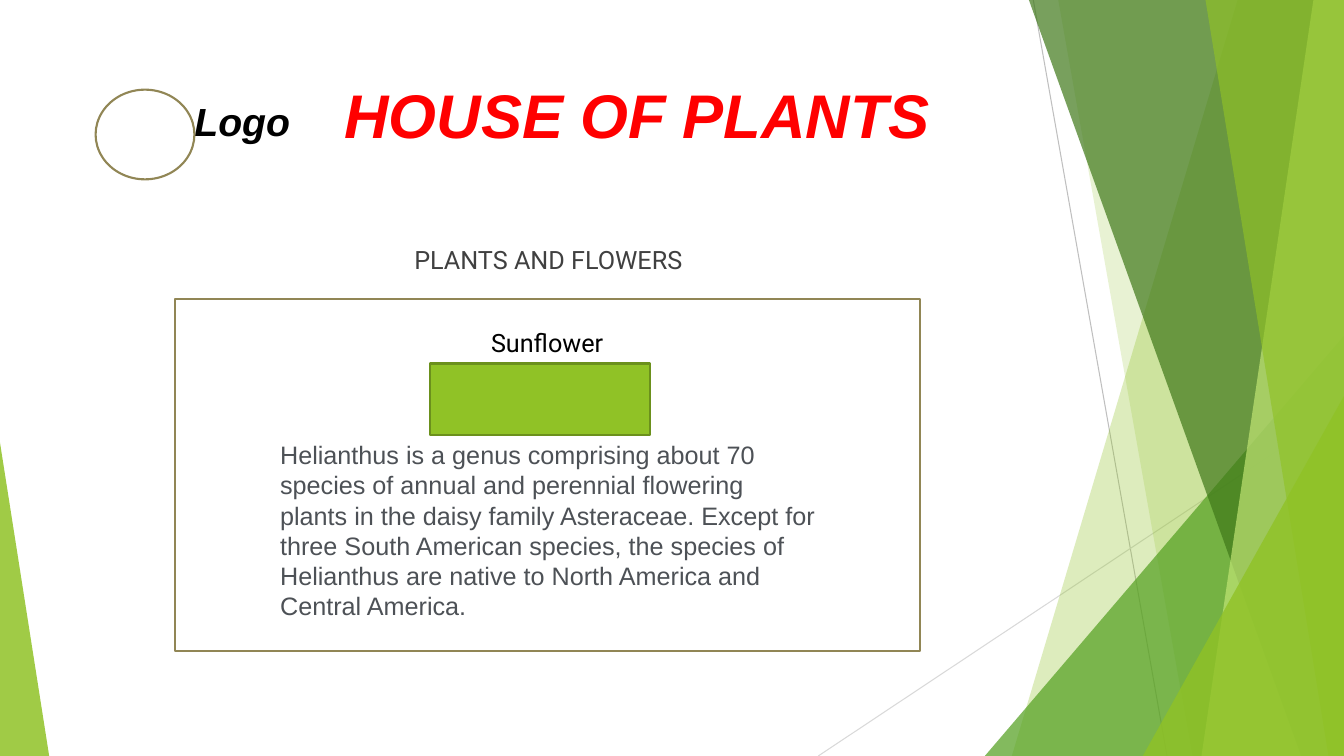
from dataclasses import dataclass

from lxml import etree
from pptx import Presentation
from pptx import util as u
from pptx.dml.color import RGBColor
from pptx.enum import shapes, text
from pptx.oxml import ns


@dataclass(frozen=True)
class Theme:
    white: str = "FFFFFF"
    black: str = "000000"
    red: str = "FF0000"
    lime: str = "90C226"
    pale_lime: str = "C0E474"
    green: str = "54A021"
    dark_green: str = "3F7819"
    edge_green: str = "6B901C"
    olive: str = "918655"
    heading_grey: str = "404040"
    body_grey: str = "4D5156"
    rays: tuple = ("BFBFBF", "D9D9D9")
    sans: str = "Arial"
    display: str = "Roboto"
    title_size: int = 44
    logo_size: int = 28
    text_size: int = 18


theme = Theme()
WIDTH, HEIGHT = 33.87, 19.05


def paint(shape, fill, opacity=100, line=None):
    shape.shadow.inherit = False
    shape.fill.solid()
    shape.fill.fore_color.rgb = RGBColor.from_string(fill)
    if opacity < 100:
        color = shape.fill._xPr.find(".//" + ns.qn("a:srgbClr"))
        etree.SubElement(color, ns.qn("a:alpha"), val=str(opacity * 1000))
    if line:
        shape.line.color.rgb = RGBColor.from_string(line)
        shape.line.width = u.Pt(1.5)
    else:
        shape.line.fill.background()


def write(words, box, size=theme.text_size, font=theme.sans, color=theme.black,
          strong=False, align=text.PP_ALIGN.LEFT):
    frame = slide.shapes.add_textbox(*map(u.Cm, box)).text_frame
    frame.word_wrap = True
    paragraph = frame.paragraphs[0]
    paragraph.alignment = align
    run = paragraph.add_run()
    run.text = words
    run.font.size = u.Pt(size)
    run.font.name = font
    run.font.bold = run.font.italic = strong
    run.font.color.rgb = RGBColor.from_string(color)


deck = Presentation()
deck.slide_width, deck.slide_height = u.Cm(WIDTH), u.Cm(HEIGHT)
slide = deck.slides.add_slide(deck.slide_layouts[6])

# Thin rays behind the facets
rays = [(26.04, 0, 29.41, HEIGHT), (WIDTH, 10.24, 20.62, HEIGHT)]
for ends, color in zip(rays, theme.rays):
    ray = slide.shapes.add_connector(shapes.MSO_CONNECTOR.STRAIGHT, *map(u.Cm, ends))
    ray.line.color.rgb = RGBColor.from_string(color)
    ray.line.width = u.Pt(0.75)
    etree.SubElement(ray._element.spPr, ns.qn("a:effectLst"))

# Facets, back to front. Bands: top x, bottom x, reaching the right edge.
# Wedges: left, top, width, apex, standing on the bottom edge.
facets = [
    ((31.19, 25.5), theme.lime, 30),
    ((26.67, 30.05), theme.lime, 20),
    ((24.82, 8.46, 9.05, 1), theme.green, 72),
    ((25.93, 32.79), theme.dark_green, 70),
    ((33.1, 30.28), theme.pale_lime, 70),
    ((30.38, 33.48), theme.lime, 65),
    ((28.8, 9.98, 5.07, 1), theme.lime, 80),
    ((0, 11.15, 1.24, 0), theme.lime, 85),
]
for outline, color, opacity in facets:
    if len(outline) == 2:
        top_x, bottom_x = outline
        band = slide.shapes.build_freeform(u.Cm(top_x), 0)
        corners = [(WIDTH, 0), (WIDTH, HEIGHT), (bottom_x, HEIGHT)]
        band.add_line_segments([(u.Cm(x), u.Cm(y)) for x, y in corners])
        facet = band.convert_to_shape()
    else:
        left, top, width, apex = outline
        facet = slide.shapes.add_shape(
            shapes.MSO_SHAPE.ISOSCELES_TRIANGLE,
            *map(u.Cm, (left, top, width, HEIGHT - top)))
        facet.adjustments[0] = apex
    paint(facet, color, opacity)

# Header
write("Logo", (4.65, 2.33, 3.6, 1.5), size=theme.logo_size, strong=True)
write("HOUSE OF PLANTS", (8.43, 1.82, 17, 2.1), size=theme.title_size,
      color=theme.red, strong=True)
write("PLANTS AND FLOWERS", (1.88, 6.02, 23.88, 1.02), font=theme.display,
      color=theme.heading_grey, align=text.PP_ALIGN.CENTER)

# Logo ring, card and flower block
panels = [
    (shapes.MSO_SHAPE.OVAL, (2.41, 2.26, 2.49, 2.26), theme.white, theme.olive),
    (shapes.MSO_SHAPE.RECTANGLE, (4.4, 7.54, 18.79, 8.86), theme.white, theme.olive),
    (shapes.MSO_SHAPE.RECTANGLE, (10.84, 9.16, 5.54, 1.81), theme.lime, theme.edge_green),
]
for kind, box, fill, line in panels:
    paint(slide.shapes.add_shape(kind, *map(u.Cm, box)), fill, line=line)

# Card text
write("Sunflower", (9.75, 8.13, 8.08, 1.02), font=theme.display,
      align=text.PP_ALIGN.CENTER)
write("Helianthus is a genus comprising about 70 species of annual and perennial "
      "flowering plants in the daisy family Asteraceae. Except for three South "
      "American species, the species of Helianthus are native to North America "
      "and Central America.",
      (6.81, 10.95, 14.02, 4.88), color=theme.body_grey)

deck.save("out.pptx")
